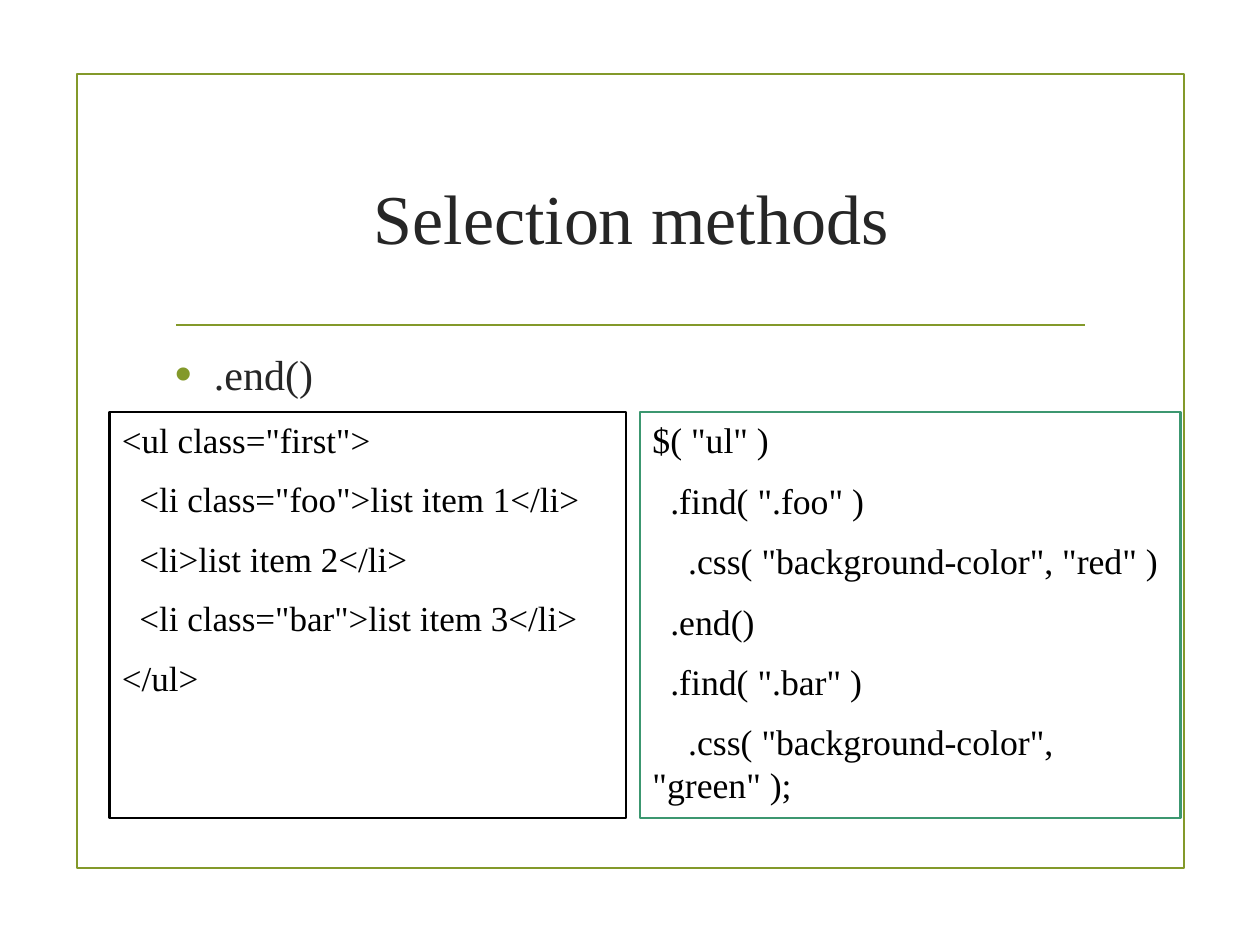
from lxml import etree
from pptx import Presentation
from pptx.dml.color import RGBColor
from pptx.enum import shapes, text
from pptx.oxml import ns
from pptx.util import Inches, Pt

FONT = "Times New Roman"
OLIVE = "83992A"
DARK = "262626"


def color(hex_string):
    return RGBColor.from_string(hex_string)


def add_text(paragraph, words, size, hex_string):
    run = paragraph.add_run()
    run.text = words
    run.font.name = FONT
    run.font.size = Pt(size)
    run.font.color.rgb = color(hex_string)


presentation = Presentation()
presentation.slide_width = Inches(10)
presentation.slide_height = Inches(7.5)
slide = presentation.slides.add_slide(presentation.slide_layouts[5])

# Title
title = slide.shapes.title
title.left, title.top = Inches(1.29), Inches(1)
title.width, title.height = Inches(7.44), Inches(1.43)
title.text_frame.vertical_anchor = text.MSO_ANCHOR.MIDDLE
title_paragraph = title.text_frame.paragraphs[0]
title_paragraph.alignment = text.PP_ALIGN.CENTER
add_text(title_paragraph, "Selection methods", 40, DARK)

# Page frame and rule under the title
frame = slide.shapes.add_shape(
    shapes.MSO_SHAPE.RECTANGLE, Inches(0.61), Inches(0.59), Inches(8.79), Inches(6.3))
frame.shadow.inherit = False
frame.fill.background()
rule = slide.shapes.add_connector(
    shapes.MSO_CONNECTOR.STRAIGHT, Inches(1.4), Inches(2.58), Inches(8.61), Inches(2.58))
etree.SubElement(rule._element.spPr, ns.qn("a:effectLst"))
for outline in (frame.line, rule.line):
    outline.color.rgb = color(OLIVE)
    outline.width = Pt(1.25)

# Code boxes: left, width, line colour, text size, (indent level, code line)
code_boxes = [
    (0.87, 4.1, "000000", 20, [
        (0, '<ul class="first">'),
        (1, '<li class="foo">list item 1</li>'),
        (1, '<li>list item 2</li>'),
        (1, '<li class="bar">list item 3</li>'),
        (0, '</ul>'),
    ]),
    (5.08, 4.29, "3C9770", 20.4, [
        (0, '$( "ul" )'),
        (1, '.find( ".foo" )'),
        (2, '.css( "background-color", "red" )'),
        (1, '.end()'),
        (1, '.find( ".bar" )'),
        (2, '.css( "background-color", "green" );'),
    ]),
]
for left, width, line_color, size, code_lines in code_boxes:
    box = slide.shapes.add_shape(
        shapes.MSO_SHAPE.RECTANGLE, Inches(left), Inches(3.27), Inches(width), Inches(3.22))
    box.shadow.inherit = False
    box.fill.solid()
    box.fill.fore_color.rgb = color("FFFFFF")
    box.line.color.rgb = color(line_color)
    box.line.width = Pt(1.25)
    text_frame = box.text_frame
    text_frame.word_wrap = True
    text_frame.vertical_anchor = text.MSO_ANCHOR.TOP
    for index, (level, code) in enumerate(code_lines):
        paragraph = text_frame.add_paragraph() if index else text_frame.paragraphs[0]
        paragraph.alignment = text.PP_ALIGN.LEFT
        paragraph.space_before = Pt(4)
        paragraph.space_after = Pt(6)
        # One level is two spaces wide, and only the first line is indented
        paragraph._p.get_or_add_pPr().set("indent", str(Pt(level * size / 2)))
        add_text(paragraph, code, size, "000000")

# Bulleted method name
method = slide.shapes.add_textbox(Inches(1.29), Inches(2.72), Inches(7.44), Inches(0.5))
method.text_frame.word_wrap = True
paragraph = method.text_frame.paragraphs[0]
paragraph.space_before = Pt(4.8)
paragraph.space_after = Pt(6)
properties = paragraph._p.get_or_add_pPr()
properties.set("marL", str(Inches(0.31)))
properties.set("indent", str(Inches(-0.31)))
bullet_color = etree.SubElement(properties, ns.qn("a:buClr"))
etree.SubElement(bullet_color, ns.qn("a:srgbClr"), val=OLIVE)
etree.SubElement(properties, ns.qn("a:buSzPct"), val="115000")
etree.SubElement(properties, ns.qn("a:buFont"), typeface="Arial")
etree.SubElement(properties, ns.qn("a:buChar"), char="•")
add_text(paragraph, ".end()", 24, DARK)

presentation.save("out.pptx")
